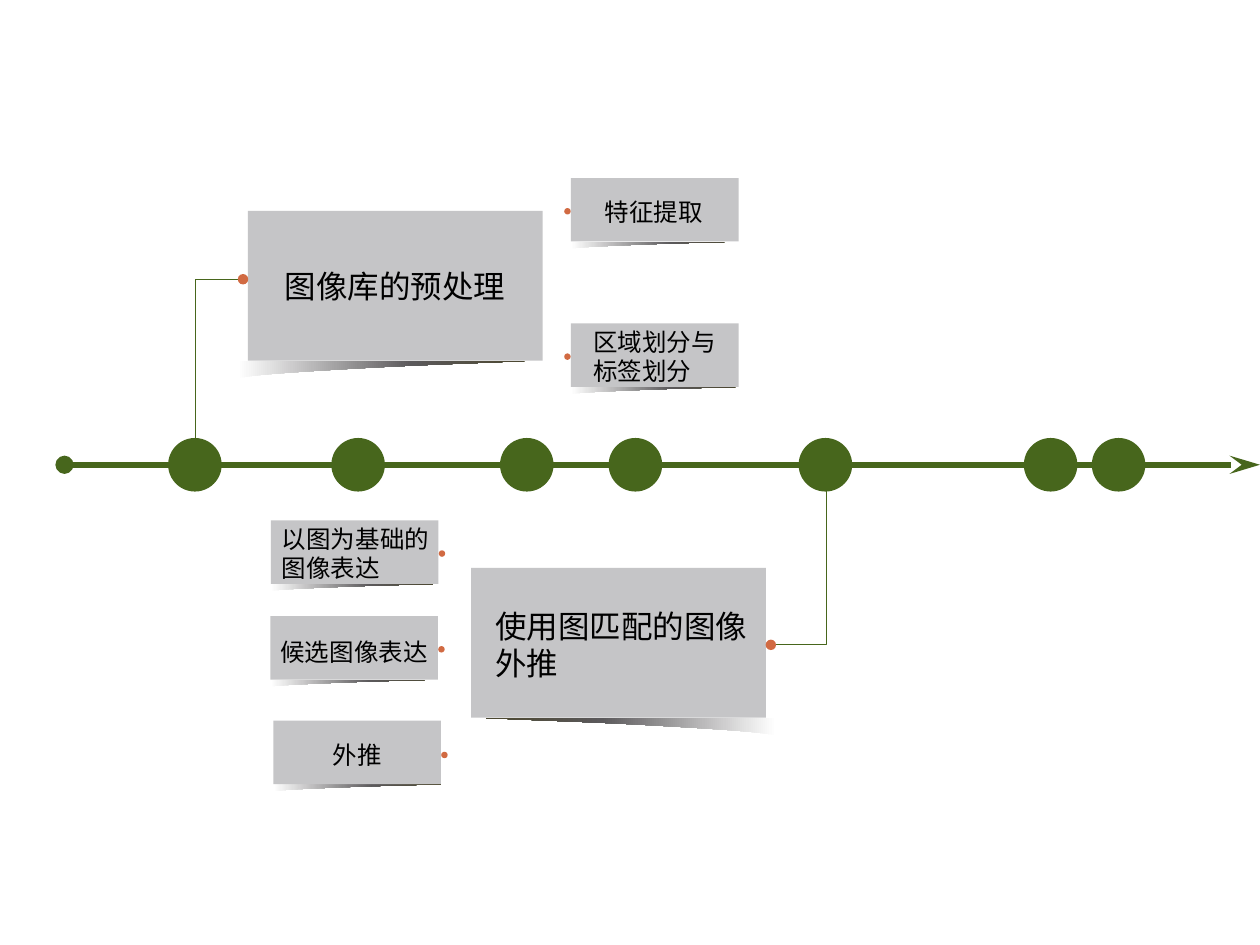
import copy
import dataclasses
import typing

import pptx
import pptx.dml.color
import pptx.enum.shapes
import pptx.enum.text
import pptx.oxml
import pptx.oxml.ns
import pptx.util

Cm = pptx.util.Cm
Point = tuple[float, float]
GREEN, GRAY, RUST = "47661C", "C5C5C7", "D16A42"
FACE = "Noto Sans CJK SC"
LEVEL = 9.37
SHADE = [(0, "FFFFFF"), (0.59, "5B595B"), (1, "4A452A")]
CURVES = [
    [(0.04, 1.05), (-0.17, 0.83), (0.22, 0.5)],
    [(0.61, 0.17), (0.74, 0.17), (1, 0)],
]


@dataclasses.dataclass
class Kind:
    width: float
    height: float
    size: int
    dot: float
    gap: float
    depth: float
    slip: float


@dataclasses.dataclass
class Card:
    kind: Kind
    left: float
    top: float
    lines: list[str]
    side: int
    drop: float = 0.67
    nudge: Point = (0, 0.02)
    start: typing.Optional[Point] = None
    flip: bool = False


BIG = Kind(5.94, 3.02, 18, 0.21, 0.1, 0.45, 0.2)
SMALL = Kind(3.38, 1.28, 14, 0.13, 0.07, 0.18, 0)
CARDS = [
    Card(BIG, 5, 4.25, ["图像库的预处理"], -1, 1.38, (0, 0), (3.94, 8.84)),
    Card(SMALL, 11.51, 3.59, ["特征提取"], -1, nudge=(-0.02, 0.03)),
    Card(SMALL, 11.51, 6.52, ["区域划分与", "标签划分"], -1),
    Card(BIG, 9.5, 11.45, ["使用图匹配的图像", "外推"], 1, 1.55, (0.06, 0.03), (16.66, 9.88), True),
    Card(SMALL, 5.46, 10.49, ["以图为基础的", "图像表达"], 1, nudge=(0.02, 0.02)),
    Card(SMALL, 5.45, 12.42, ["候选图像表达"], 1, nudge=(0, 0.08)),
    Card(SMALL, 5.51, 14.53, ["外推"], 1, 0.69, (0.01, 0.05)),
]
NODES = [3.93, 7.22, 10.62, 12.81, 16.64, 21.18, 22.55]


def tint(code: str) -> pptx.dml.color.RGBColor:
    return pptx.dml.color.RGBColor.from_string(code)


def style(thing: typing.Any, form: dict[str, typing.Any]) -> None:
    for name, value in form.items():
        setattr(thing, name, value)


def make(tag: str, **marks: str) -> typing.Any:
    node = pptx.oxml.parse_xml(f"<{tag} {pptx.oxml.ns.nsdecls('a')}/>")
    for name, value in marks.items():
        node.set(name, value)
    return node


def draw(shapes: typing.Any, name: str, mid: Point, width: float, height: float, code: str) -> None:
    kind = getattr(pptx.enum.shapes.MSO_SHAPE, name)
    left, top = mid[0] - width / 2, mid[1] - height / 2
    shape = shapes.add_shape(kind, Cm(left), Cm(top), Cm(width), Cm(height))
    shape.shadow.inherit = False
    shape.fill.solid()
    shape.fill.fore_color.rgb = tint(code)
    shape.line.fill.background()


def join(shapes: typing.Any, name: str, start: Point, end: Point, width: float) -> typing.Any:
    kind = getattr(pptx.enum.shapes.MSO_CONNECTOR, name)
    line = shapes.add_connector(kind, *map(Cm, start + end))
    line.line.color.rgb = tint(GREEN)
    line.line.width = pptx.util.Pt(width)
    line._element.spPr.append(make("a:effectLst"))
    return line


def bend(shapes: typing.Any, start: Point, end: Point) -> None:
    x, y = (start[0] + end[0]) / 2, (start[1] + end[1]) / 2
    dx, dy = (end[0] - start[0]) / 2, (end[1] - start[1]) / 2
    line = join(shapes, "ELBOW", (x - dy, y + dx), (x + dy, y - dx), 0.75)
    props = line._element.spPr
    props.find(pptx.oxml.ns.qn("a:xfrm")).set("rot", "5400000")
    guides = props.find(".//" + pptx.oxml.ns.qn("a:avLst"))
    guides.append(make("a:gd", name="adj1", fmla="val 100000"))


def shade(shapes: typing.Any, card: Card) -> None:
    kind = card.kind
    left = card.left + (kind.slip if card.flip else -kind.slip)
    base = card.top + kind.height

    def spot(x: float, y: float) -> tuple[int, int]:
        across = 1 - x if card.flip else x
        return Cm(left + kind.width * across), Cm(base + kind.depth * y)

    pen = shapes.build_freeform(*spot(0, 1))
    pen.add_line_segments([spot(*curve[-1]) for curve in CURVES] + [spot(0, 0)], close=True)
    shape = pen.convert_to_shape()
    sides = shape._element.spPr.findall(".//" + pptx.oxml.ns.qn("a:lnTo"))
    for side, curve in zip(sides, CURVES):
        arc = make("a:cubicBezTo")
        for x, y in (spot(*pair) for pair in curve):
            arc.append(make("a:pt", x=str(x - shape.left), y=str(y - shape.top)))
        side.getparent().replace(side, arc)
    shape.shadow.inherit = False
    shape.line.fill.background()
    fill = shape.fill
    fill.gradient()
    fill.gradient_angle = 180 if card.flip else 0
    stops = shape._element.spPr.find(".//" + pptx.oxml.ns.qn("a:gsLst"))
    stops.insert(1, copy.deepcopy(stops[0]))
    for stop, (place, code) in zip(fill.gradient_stops, SHADE):
        stop.position = place
        stop.color.rgb = tint(code)


def write(shapes: typing.Any, card: Card, mid: Point) -> None:
    size = card.kind.size
    width = max(map(len, card.lines)) * size / 72 * 2.54 + 0.51
    height = len(card.lines) * size * 1.2 / 72 * 2.54 + 0.25
    left, top = mid[0] + card.nudge[0] - width / 2, mid[1] + card.nudge[1] - height / 2
    frame = shapes.add_textbox(Cm(left), Cm(top), Cm(width), Cm(height)).text_frame
    style(frame, {"word_wrap": False, "auto_size": pptx.enum.text.MSO_AUTO_SIZE.SHAPE_TO_FIT_TEXT})
    frame.text = "\n".join(card.lines)
    for para in frame.paragraphs:
        font = para.runs[0].font
        style(font, {"size": pptx.util.Pt(size), "name": FACE})
        font.color.rgb = tint("000000")
        font._element.append(make("a:ea", typeface=FACE))


def place(shapes: typing.Any, card: Card) -> None:
    kind = card.kind
    mid = card.left + kind.width / 2, card.top + kind.height / 2
    spot = mid[0] + card.side * (kind.width / 2 + kind.gap), card.top + card.drop
    shade(shapes, card)
    draw(shapes, "RECTANGLE", mid, kind.width, kind.height, GRAY)
    if card.start:
        bend(shapes, card.start, spot)
    draw(shapes, "OVAL", spot, kind.dot, kind.dot, RUST)
    write(shapes, card, mid)


def main() -> None:
    deck = pptx.Presentation()
    style(deck, {"slide_width": Cm(25.4), "slide_height": Cm(19.05)})
    shapes = deck.slides.add_slide(deck.slide_layouts[6]).shapes
    for card in CARDS:
        place(shapes, card)
    axis = join(shapes, "STRAIGHT", (1.3, LEVEL), (25.4, LEVEL), 3.5)
    stroke = axis._element.spPr.find(pptx.oxml.ns.qn("a:ln"))
    stroke.append(make("a:headEnd", type="oval"))
    stroke.append(make("a:tailEnd", type="stealth", len="lg"))
    for x in NODES:
        draw(shapes, "OVAL", (x, LEVEL), 1.08, 1.08, GREEN)
    deck.save("out.pptx")


main()
